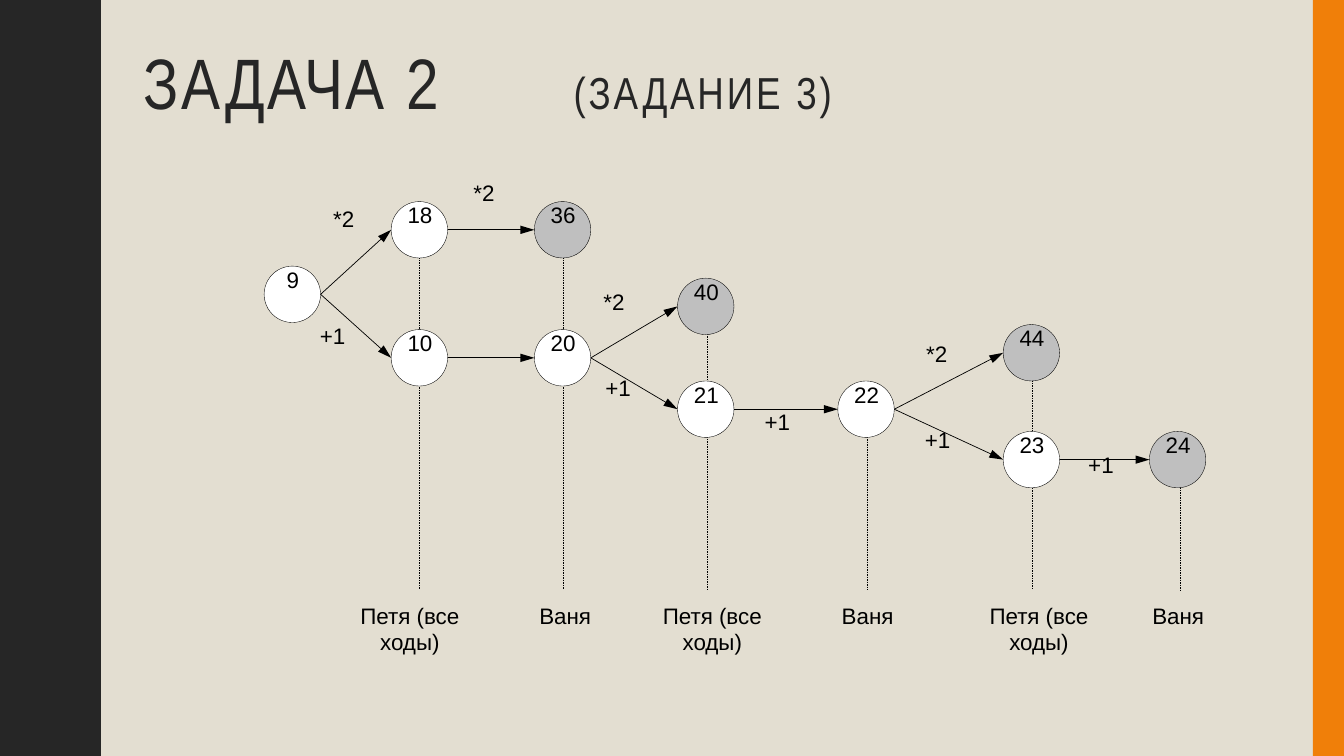
from lxml.etree import SubElement
from pptx import Presentation
from pptx.dml.color import RGBColor
from pptx.enum.dml import MSO_LINE
from pptx.enum.shapes import MSO_CONNECTOR, MSO_SHAPE
from pptx.enum.text import MSO_ANCHOR, MSO_AUTO_SIZE, PP_ALIGN
from pptx.oxml.ns import qn
from pptx.util import Inches, Pt

rgb = RGBColor.from_string
DARK, ORANGE, SAND = "262626", "F07F09", "E3DED1"
BLACK, WHITE, GREY = "000000", "FFFFFF", "BFBFBF"

deck = Presentation()
deck.slide_width, deck.slide_height = Inches(13.33), Inches(7.5)
page = deck.slides.add_slide(deck.slide_layouts[5])
page.background.fill.solid()
page.background.fill.fore_color.rgb = rgb(SAND)


def add_line(start, end, width):
    line = page.shapes.add_connector(
        MSO_CONNECTOR.STRAIGHT, *(Inches(value) for value in (*start, *end)))
    line.line.width = Pt(width)
    line.line.color.rgb = rgb(BLACK)
    SubElement(line._element.spPr, qn("a:effectLst"))
    return line


def add_label(text, left, top, width, height):
    box = page.shapes.add_textbox(*(Inches(value) for value in (left, top, width, height)))
    frame = box.text_frame
    frame.word_wrap = True
    frame.margin_left = frame.margin_right = 0
    para = frame.paragraphs[0]
    para.text = text
    para.alignment = PP_ALIGN.CENTER
    para.font.size, para.font.name = Pt(16), "Arial"
    para.font.color.rgb = rgb(BLACK)


# Wavy left edge: one rising half wave, mirrored and repeated
WAVE = 1.5
rise = [(0.78, 0), (0.78, 0.07), (0.79, 0.14), (0.8, 0.2), (0.81, 0.25),
        (0.93, 0.5), (0.95, 0.55), (0.96, 0.61), (0.97, 0.68), (0.97, 0.75)]
fall = [(x, WAVE - y) for x, y in reversed(rise)]
edge = [(x, y + WAVE * turn) for turn in range(5) for x, y in rise + fall]
builder = page.shapes.build_freeform(0, 0, scale=Inches(1))
builder.add_line_segments(edge + [(0, 7.5)], close=True)
wave = builder.convert_to_shape()
stripe = page.shapes.add_shape(
    MSO_SHAPE.RECTANGLE, Inches(13.02), 0, Inches(0.31), deck.slide_height)
for band, color in ((wave, DARK), (stripe, ORANGE)):
    band.shadow.inherit = False
    band.fill.solid()
    band.fill.fore_color.rgb = rgb(color)
    band.line.fill.background()

# Title, with a tab stop between its two parts
title = page.shapes.title
title.left, title.top, title.width, title.height = (
    Inches(value) for value in (1.32, 0.42, 11.13, 1.63))
title.text_frame.vertical_anchor = MSO_ANCHOR.TOP
title.text_frame.auto_size = MSO_AUTO_SIZE.NONE
para = title.text_frame.paragraphs[0]
para.alignment = PP_ALIGN.LEFT
para.line_spacing = 0.9
para.font.name = "Arial Narrow"
para.font.color.rgb = rgb(DARK)
tabs = SubElement(para._p.get_or_add_pPr(), qn("a:tabLst"))
SubElement(tabs, qn("a:tab"), pos=str(Inches(4.27)), algn="l")
para._p.pPr.insert(1, tabs)
for text, size in (("ЗАДАЧА 2\t", 51), ("(ЗАДАНИЕ 3)", 32)):
    span = para.add_run()
    span.text = text
    span.font.size = Pt(size)
    span.font._element.set("spc", "200")

# Game tree: value -> centre of its circle
RADIUS = 0.28
nodes = {
    "9": (2.9, 2.92),
    "18": (4.16, 2.28), "10": (4.16, 3.55),
    "36": (5.58, 2.28), "20": (5.58, 3.55),
    "40": (7.0, 3.04), "21": (7.0, 4.06),
    "22": (8.59, 4.06),
    "44": (10.23, 3.5), "23": (10.23, 4.56),
    "24": (11.68, 4.56),
}
winning = {"36", "40", "44", "24"}

# Guides: topmost value of the column, guide x, player, caption centre
PETYA, VANYA = "Петя (все ходы)", "Ваня"
columns = [("18", 4.16, PETYA, 4.07), ("36", 5.59, VANYA, 5.61),
           ("40", 7.01, PETYA, 7.07), ("22", 8.6, VANYA, 8.61),
           ("44", 10.24, PETYA, 10.31), ("24", 11.71, VANYA, 11.69)]
for top_value, guide, player, caption in columns:
    line = add_line((guide, nodes[top_value][1]), (guide, 5.85), 0.25)
    line.line.dash_style = MSO_LINE.DASH
    add_label(player, caption - 0.8, 5.92, 1.59, 1.03)

for value, (x, y) in nodes.items():
    circle = page.shapes.add_shape(
        MSO_SHAPE.OVAL, Inches(x - RADIUS), Inches(y - RADIUS),
        Inches(2 * RADIUS), Inches(2 * RADIUS))
    circle.shadow.inherit = False
    circle.fill.solid()
    circle.fill.fore_color.rgb = rgb(GREY if value in winning else WHITE)
    circle.line.color.rgb = rgb(BLACK)
    circle.line.width = Pt(0.25)
    add_label(value, x - 0.32, y - RADIUS - 0.05, 0.65, 0.55)

# Moves: from, to, operation, left and top of its label
moves = [("9", "18", "*2", 3.16, 1.99), ("9", "10", "+1", 3.05, 3.15),
         ("18", "36", "*2", 4.55, 1.73), ("10", "20", None, 0, 0),
         ("20", "40", "*2", 5.84, 2.81), ("20", "21", "+1", 5.88, 3.66),
         ("21", "22", "+1", 7.46, 4.0),
         ("22", "44", "*2", 9.04, 3.32), ("22", "23", "+1", 9.05, 4.18),
         ("23", "24", "+1", 10.67, 4.43)]
for source, target, operation, left, top in moves:
    (x1, y1), (x2, y2) = nodes[source], nodes[target]
    arrow = add_line((x1 + RADIUS, y1), (x2 - RADIUS, y2), 0.5)
    SubElement(arrow.line._get_or_add_ln(), qn("a:tailEnd"),
               type="triangle", w="med", len="lg")
    if operation:
        add_label(operation, left, top, 0.5, 0.62)

deck.save("out.pptx")
